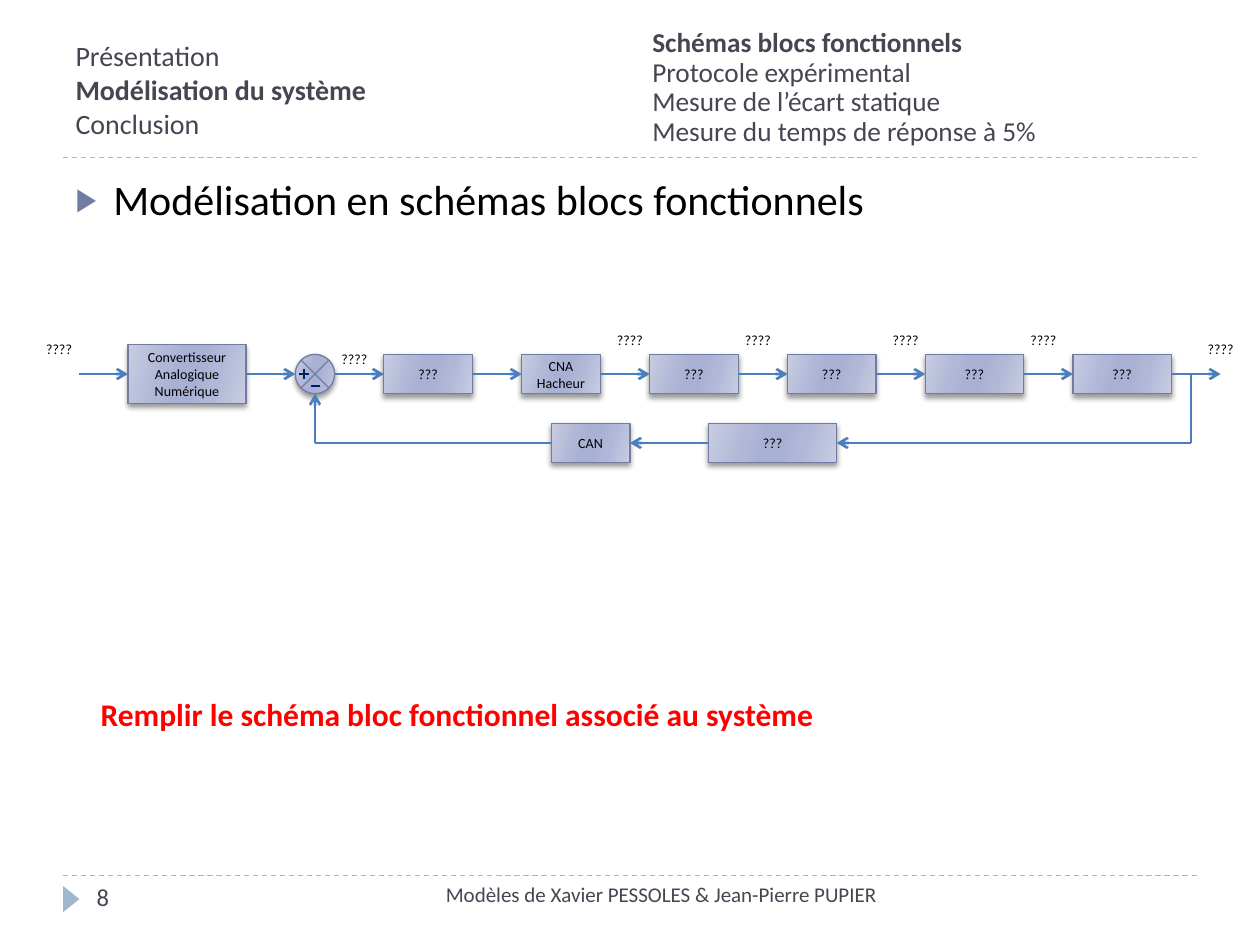
import pptx
import pptx.dml.color
import pptx.enum.dml
import pptx.enum.shapes
import pptx.enum.text
import pptx.oxml
import pptx.oxml.ns
import pptx.util

Cm, Pt = pptx.util.Cm, pptx.util.Pt
SHAPE = pptx.enum.shapes.MSO_SHAPE
ALIGN = pptx.enum.text.PP_ALIGN
ANCHOR = pptx.enum.text.MSO_ANCHOR
qn = pptx.oxml.ns.qn

COLORS = {
    "black": "000000", "header": "464653", "accent": "727CA3", "rule": "9FB8CD",
    "arrow": "4B7EBC", "sign": "002060", "alert": "FF0000",
}
BLOCK_STOPS = {0: "C9CDE2", 30: "B1B7D7", 45: "A8B0D3", 55: "A8B0D3", 73: "B1B7D7", 100: "C9CDE2"}
FONT = "Calibri"
UNIT = 25.4 / 128  # diagram grid step in cm: slide width / 128
GAP = 5
AXIS, RETURN_AXIS = 38, 45


def grid(value):
    return Cm(value * UNIT)


def rgb(name):
    return pptx.dml.color.RGBColor.from_string(COLORS[name])


def element(xml):
    """Parse one DrawingML element, given without its namespace declaration."""
    tag, rest = xml[1:].split(" ", 1)
    return pptx.oxml.parse_xml(f"<{tag} {pptx.oxml.ns.nsdecls('a')} {rest}")


def add_shadow(shape):
    shape._element.spPr.append(element(
        '<a:effectLst ><a:outerShdw blurRad="38100" dist="25400" dir="5400000" rotWithShape="0">'
        '<a:srgbClr val="000000"><a:alpha val="40000"/></a:srgbClr></a:outerShdw></a:effectLst>'))


def write(frame, text, *, size, color="black", bold_line=None, align=ALIGN.LEFT,
          anchor=ANCHOR.TOP, spacing=None, before=0, breaks=False):
    """Fill a frame line by line, as paragraphs or, with breaks, as one paragraph."""
    frame.word_wrap = True
    frame.auto_size = pptx.enum.text.MSO_AUTO_SIZE.NONE
    frame.vertical_anchor = anchor
    para = frame.paragraphs[0]
    for index, line in enumerate(text.split("\n")):
        if index and breaks:
            para.add_line_break()
        elif index:
            para = frame.add_paragraph()
        para.alignment = align
        para.space_before = Pt(before)
        if spacing:
            para.line_spacing = spacing
        span = para.add_run()
        span.text = line
        span.font.name = FONT
        span.font.size = Pt(size)
        span.font.bold = index == bold_line
        span.font.color.rgb = rgb(color)


class Page:
    def __init__(self, deck):
        self.page = deck.slides.add_slide(deck.slide_layouts[1])
        self.shapes = self.page.shapes

    def placeholder(self, index, left, top, width, height, text, **style):
        holder = self.page.placeholders[index]
        holder.left, holder.top, holder.width, holder.height = map(Cm, (left, top, width, height))
        write(holder.text_frame, text, **style)
        return holder

    def text(self, left, top, width, height, text, **style):
        box = self.shapes.add_textbox(*map(Cm, (left, top, width, height)))
        write(box.text_frame, text, **style)

    def label(self, left, top):
        self.text(left * UNIT, top * UNIT, 12 * UNIT, 3 * UNIT, "????", size=8, align=ALIGN.CENTER)

    def line(self, start, end, color, width, *, parent=None, arrow=False, dash=False,
             source=None, target=None):
        """Draw a line between grid points; source and target are (shape, side)."""
        line = (parent or self.shapes).add_connector(
            pptx.enum.shapes.MSO_CONNECTOR.STRAIGHT, *map(grid, (*start, *end)))
        line.line.color.rgb = rgb(color)
        line.line.width = Pt(width)
        if dash:
            line.line.dash_style = pptx.enum.dml.MSO_LINE.DASH
        if arrow:
            line.line._get_or_add_ln().append(element('<a:tailEnd type="arrow"/>'))
        if source:
            line.begin_connect(*source)
        if target:
            line.end_connect(*target)
        if parent:
            add_shadow(line)
        else:
            line._element.spPr.append(element("<a:effectLst />"))

    def flow(self, start, end, arrow=True, **ends):
        self.line(start, end, "arrow", 1.5, arrow=arrow, **ends)

    def block(self, left, axis, width, height, text="", kind=SHAPE.RECTANGLE, parent=None):
        """Draw a shaded block centred vertically on an axis of the diagram."""
        block = (parent or self.shapes).add_shape(
            kind, *map(grid, (left, axis - height / 2, width, height)))
        block.fill.gradient()
        block.fill.gradient_angle = 360 - 16
        stops = block._element.spPr.find(qn("a:gradFill")).find(qn("a:gsLst"))
        for stop in list(stops):
            stops.remove(stop)
        for position, color in BLOCK_STOPS.items():
            stops.append(element(f'<a:gs pos="{position * 1000}"><a:srgbClr val="{color}"/></a:gs>'))
        block.line.color.rgb = rgb("accent")
        block.line.width = Pt(0.75)
        add_shadow(block)
        if text:
            write(block.text_frame, text, size=8, align=ALIGN.CENTER, anchor=ANCHOR.MIDDLE)
        return block

    def comparator(self, left, axis, size):
        parts = self.shapes.add_group_shape().shapes
        self.block(left, axis, size, size, kind=SHAPE.FLOWCHART_SUMMING_JUNCTION, parent=parts)
        plus, minus = left + 0.9, left + 2.05
        for start, end in (
            ((plus, axis - 0.5), (plus, axis + 0.5)),
            ((plus + 0.5, axis), (plus - 0.5, axis)),
            ((minus + 0.5, axis + 1.2), (minus - 0.5, axis + 1.2)),
        ):
            self.line(start, end, "sign", 1.5, parent=parts)

    def marker(self, left, top, width, height):
        marker = self.shapes.add_shape(SHAPE.ISOSCELES_TRIANGLE, *map(Cm, (left, top, width, height)))
        marker.rotation = 90
        marker.shadow.inherit = False
        marker.fill.solid()
        marker.fill.fore_color.rgb = rgb("rule")
        marker.line.fill.background()


def add_frame(page):
    for height in (16, 88.96):
        page.line((6.4, height), (121.6, height), "rule", 0.75, dash=True)
    page.marker(1.17, 17.96, 0.53, 0.33)
    page.text(1.7, 17.65, 5.5, 1.02, "8", size=14, color="header")
    page.text(1.27, 17.65, 24.13, 1.02, "Modèles de Xavier PESSOLES & Jean-Pierre PUPIER",
              size=12, color="header", align=ALIGN.CENTER)


def add_texts(page):
    page.placeholder(0, 1.27, 0.43, 11.23, 2.74,
                     "Présentation\nModélisation du système\nConclusion", size=16,
                     color="header", bold_line=1, anchor=ANCHOR.MIDDLE, breaks=True)
    page.text(12.9, 0.41, 11.23, 2.74,
              "Schémas blocs fonctionnels\nProtocole expérimental\n"
              "Mesure de l’écart statique\nMesure du temps de réponse à 5%", size=15.6,
              color="header", bold_line=0, anchor=ANCHOR.MIDDLE, spacing=0.9)
    body = page.placeholder(1, 1.27, 3.38, 22.86, 13.74,
                            "Modélisation en schémas blocs fonctionnels", size=24, before=6)
    bullet = body.text_frame.paragraphs[0]._p.get_or_add_pPr()
    bullet.set("marL", str(Cm(0.76)))
    bullet.set("indent", str(-Cm(0.76)))
    for xml in (f'<a:buClr ><a:srgbClr val="{COLORS["accent"]}"/></a:buClr>',
                '<a:buSzPct val="76000"/>', f'<a:buFont typeface="{FONT}"/>', '<a:buChar char="▶"/>'):
        bullet.append(element(xml))
    page.text(1.78, 13.89, 22.02, 1.02, "Remplir le schéma bloc fonctionnel associé au système",
              size=18, color="alert", bold_line=0)


def add_diagram(page):
    chain = (("Convertisseur Analogique Numérique", 12, 6), (None, 4, 4), ("???", 9, 4),
             ("CNA\nHacheur", 8, 4), ("???", 9, 4), ("???", 9, 4), ("???", 10, 4), ("???", 10, 4))
    end, source = 8, None
    for text, width, height in chain:
        left, target = end + GAP, None
        if text:
            block = page.block(left, AXIS, width, height, text)
            target = (block, 1)
        else:
            page.comparator(left, AXIS, width)
        page.flow((end, AXIS), (left, AXIS), source=source, target=target)
        end, source = left + width, (block, 3) if text else None
    page.flow((end, AXIS), (end + GAP, AXIS), source=source)

    sensor = page.block(72, RETURN_AXIS, 13, 4, "???")
    converter = page.block(56, RETURN_AXIS, 8, 4, "CAN")
    page.flow((121, AXIS), (121, RETURN_AXIS), arrow=False)
    page.flow((121, RETURN_AXIS), (85, RETURN_AXIS), target=(sensor, 3))
    page.flow((72, RETURN_AXIS), (64, RETURN_AXIS), source=(sensor, 1), target=(converter, 3))
    page.flow((56, RETURN_AXIS), (32, RETURN_AXIS), arrow=False, source=(converter, 1))
    page.flow((32, RETURN_AXIS), (32, AXIS + 2))

    for left, top in ((0, 34), (30, 35), (58, 33), (71, 33), (86, 33), (100, 33), (118, 34)):
        page.label(left, top)


def main():
    deck = pptx.Presentation()
    deck.slide_width, deck.slide_height = Cm(25.4), Cm(19.05)
    page = Page(deck)
    add_frame(page)
    add_texts(page)
    add_diagram(page)
    deck.save("out.pptx")


if __name__ == "__main__":
    main()
